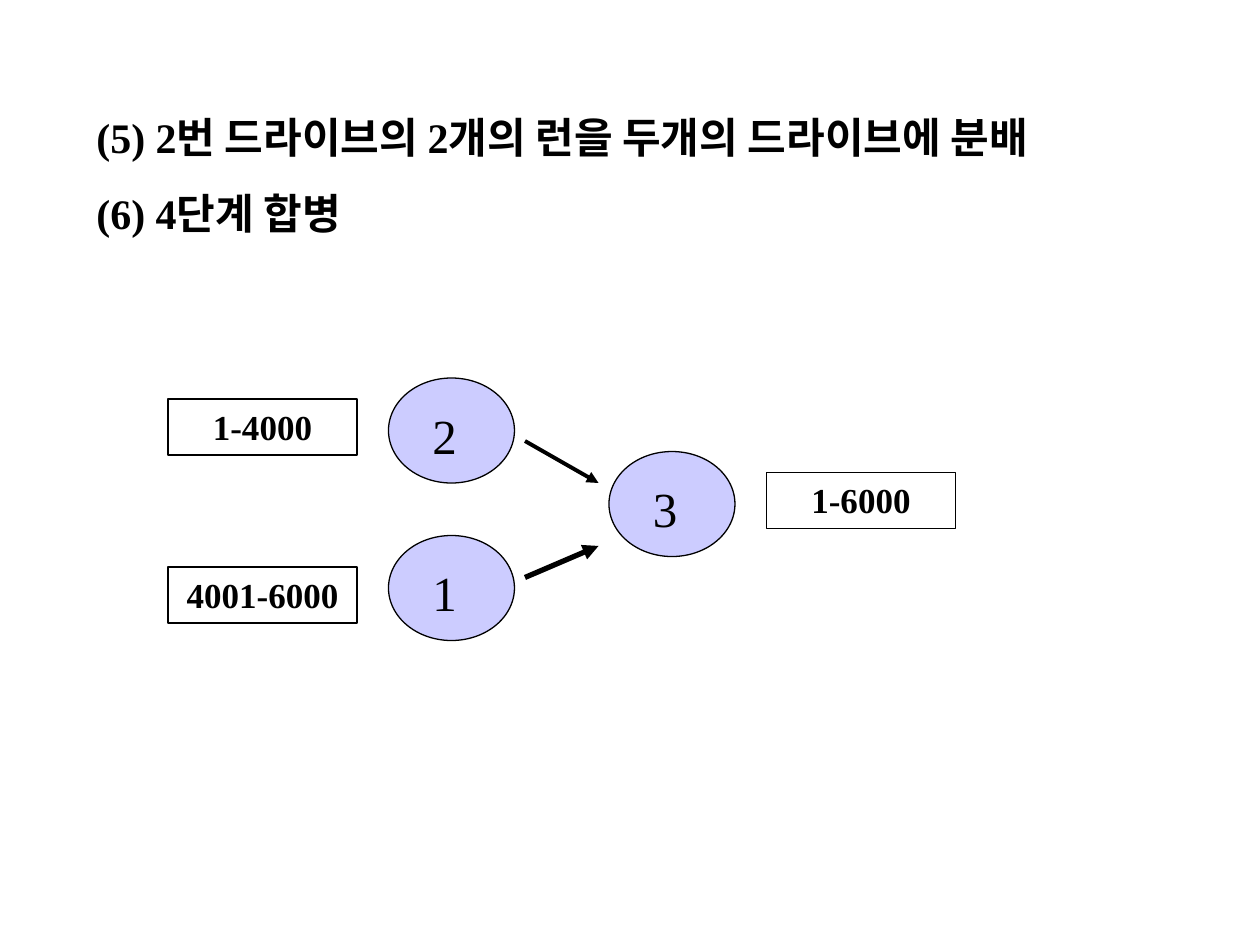
from lxml import etree
from pptx import Presentation
from pptx.dml.color import RGBColor
from pptx.enum.shapes import MSO_CONNECTOR, MSO_SHAPE
from pptx.enum.text import MSO_ANCHOR, PP_ALIGN
from pptx.oxml.ns import qn
from pptx.util import Pt

ELLIPSE, RECTANGLE = MSO_SHAPE.OVAL, MSO_SHAPE.RECTANGLE
STRAIGHT = MSO_CONNECTOR.STRAIGHT
LEFT, CENTER, TOP = PP_ALIGN.LEFT, PP_ALIGN.CENTER, MSO_ANCHOR.TOP
FONT, BLACK, LAVENDER = "Times New Roman", "000000", "CCCCFF"

# Content: lengths in points
STEPS = ["(5) 2번 드라이브의 2개의 런을 두개의 드라이브에 분배", "(6) 4단계 합병"]
DRIVES = [("2", 222, 216), ("1", 222, 306), ("3", 348, 258)]
RUN_RANGES = [("4001-6000", 96, 324), ("1-4000", 96, 228), ("1-6000", 438, 270)]
ARROWS = [((300, 252), (342, 276), 2.25), ((300, 330), (342, 312), 3)]

DRIVE_SIZE = (72, 60)
NUMBER_OFFSET, NUMBER_SIZE = (18, 12), (36, 41)
RANGE_SIZE = (108, 32)


def color(hex_text):
    return RGBColor.from_string(hex_text)


def points(*values):
    return [Pt(value) for value in values]


def write(shape, lines, size, bold=False, align=LEFT, gap=0):
    frame = shape.text_frame
    frame.word_wrap = True
    frame.vertical_anchor = TOP
    for index, line in enumerate(lines):
        paragraph = frame.add_paragraph() if index else frame.paragraphs[0]
        paragraph.alignment = align
        if index:
            paragraph.space_before = Pt(gap)
        run = paragraph.add_run()
        run.text = line
        run.font.name = FONT
        run.font.size = Pt(size)
        run.font.bold = bold
        run.font.color.rgb = color(BLACK)


def add_outlined(slide, kind, left, top, size, fill=None):
    shape = slide.shapes.add_shape(kind, *points(left, top, *size))
    shape.shadow.inherit = False
    if fill:
        shape.fill.solid()
        shape.fill.fore_color.rgb = color(fill)
    else:
        shape.fill.background()
    shape.line.color.rgb = color(BLACK)
    shape.line.width = Pt(0.75)
    return shape


def add_arrow(slide, start, end, width):
    arrow = slide.shapes.add_connector(STRAIGHT, *points(*start, *end))
    arrow.line.color.rgb = color(BLACK)
    arrow.line.width = Pt(width)
    properties = arrow._element.spPr
    etree.SubElement(properties.find(qn("a:ln")), qn("a:tailEnd"), type="triangle")
    etree.SubElement(properties, qn("a:effectLst"))


def main():
    presentation = Presentation()
    presentation.slide_width, presentation.slide_height = points(720, 540)
    slide = presentation.slides.add_slide(presentation.slide_layouts[6])

    # Steps
    steps = slide.shapes.add_textbox(*points(48, 60, 618, 80))
    write(steps, STEPS, 24, bold=True, gap=15)

    # Numbered drives
    for number, left, top in DRIVES:
        add_outlined(slide, ELLIPSE, left, top, DRIVE_SIZE, LAVENDER)
        label = slide.shapes.add_textbox(
            *points(left + NUMBER_OFFSET[0], top + NUMBER_OFFSET[1], *NUMBER_SIZE))
        write(label, [number], 28)

    # Record ranges held on the drives
    for text, left, top in RUN_RANGES:
        box = add_outlined(slide, RECTANGLE, left, top, RANGE_SIZE)
        write(box, [text], 20, bold=True, align=CENTER)

    # Merge arrows
    for start, end, width in ARROWS:
        add_arrow(slide, start, end, width)

    presentation.save("out.pptx")


if __name__ == "__main__":
    main()
